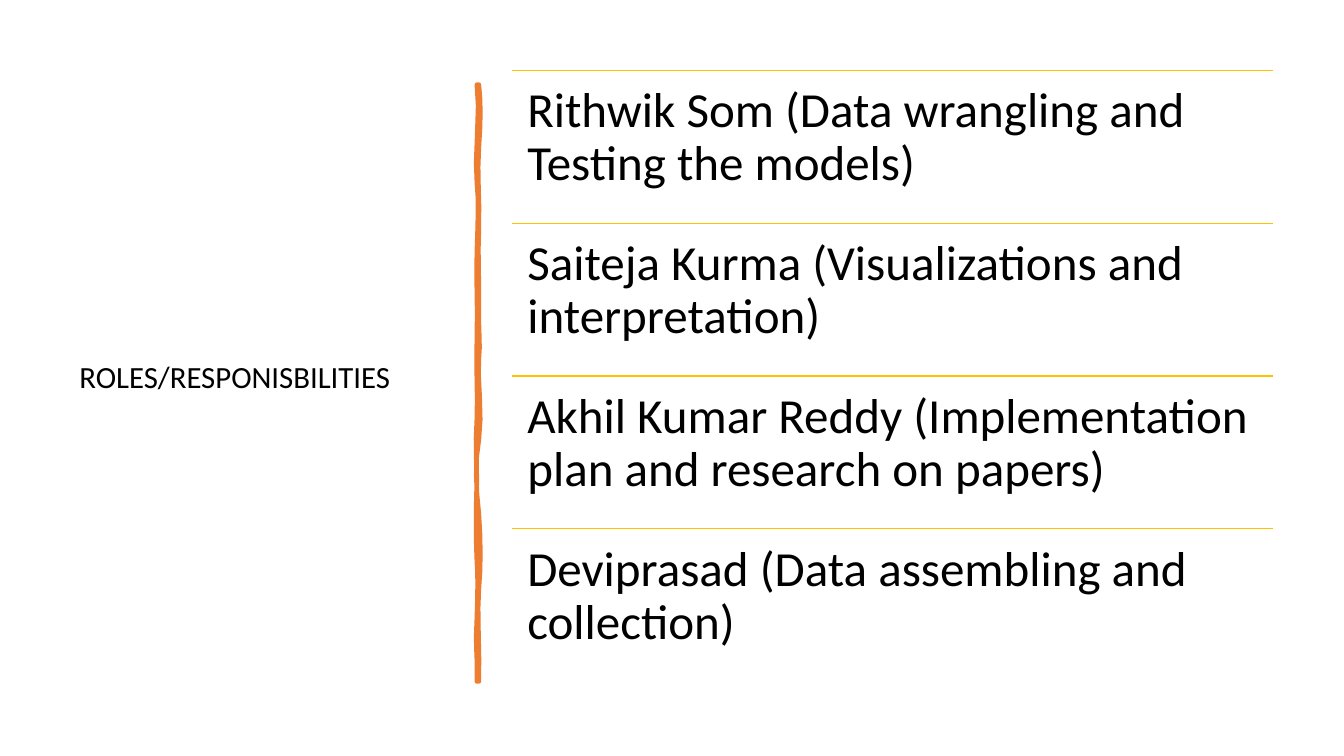
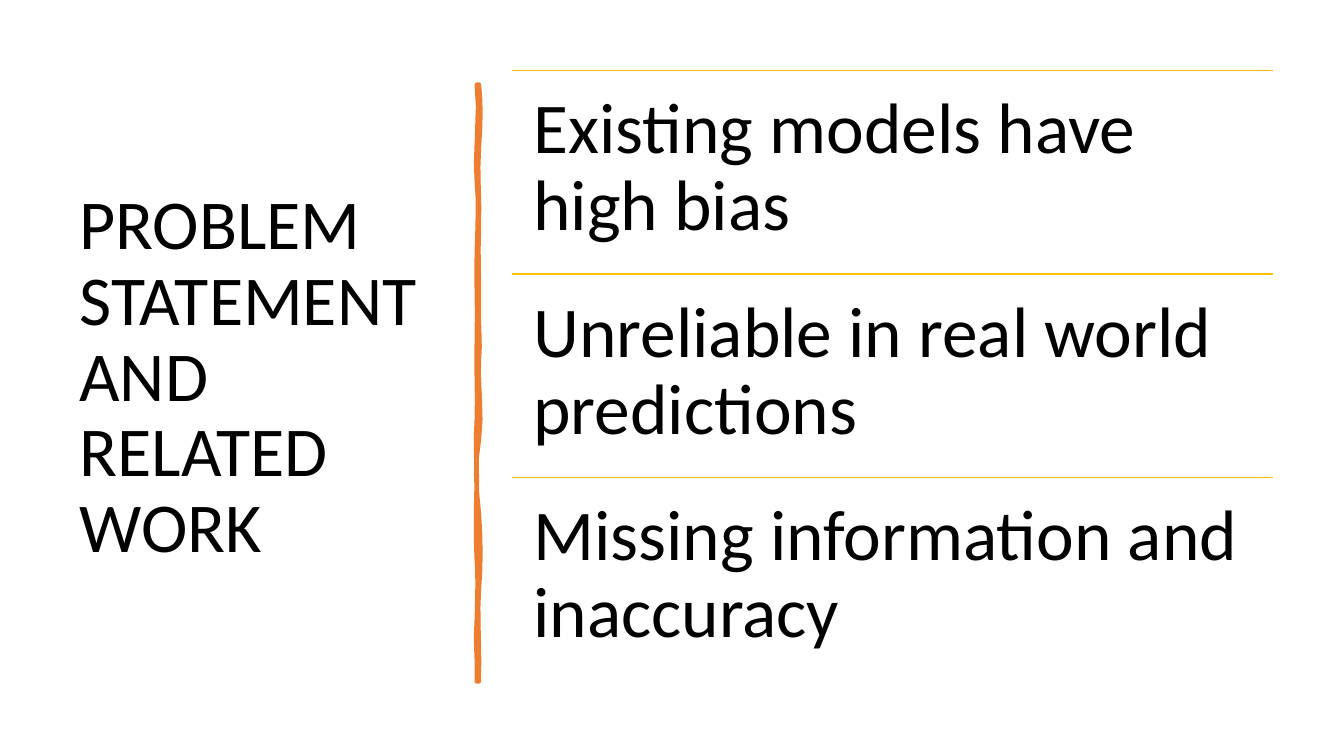
from lxml.etree import SubElement
from pptx import Presentation
from pptx.dml.color import RGBColor
from pptx.enum.shapes import MSO_CONNECTOR
from pptx.enum.text import MSO_ANCHOR
from pptx.oxml.ns import qn
from pptx.util import Inches, Pt

COLORS = {"text": "000000", "stroke": "ED7D31", "rule": "FFC000"}
FONT = "Calibri"
LIST_LEFT, LIST_TOP, LIST_WIDTH, LIST_HEIGHT = 5.08, 0.7, 7.55, 6.06
STROKE_START = (4.75, 0.84)
STROKE_CURVES = [
    ((4.77, 1.02), (4.77, 1.19), (4.75, 1.46)),
    ((4.73, 1.73), (4.76, 1.95), (4.75, 2.26)),
    ((4.74, 2.57), (4.75, 2.62), (4.75, 2.94)),
    ((4.74, 3.25), (4.77, 3.42), (4.75, 3.56)),
    ((4.73, 3.7), (4.79, 4.14), (4.75, 4.36)),
    ((4.71, 4.57), (4.72, 4.84), (4.75, 5.1)),
    ((4.77, 5.36), (4.77, 5.64), (4.75, 5.84)),
    ((4.73, 6.03), (4.76, 6.5), (4.75, 6.76)),
    ((4.74, 6.76), (4.73, 6.76), (4.73, 6.76)),
    ((4.74, 6.46), (4.71, 6.44), (4.73, 6.13)),
    ((4.74, 5.83), (4.74, 5.7), (4.73, 5.57)),
    ((4.72, 5.44), (4.72, 4.95), (4.73, 4.77)),
    ((4.73, 4.59), (4.71, 4.45), (4.73, 4.15)),
    ((4.74, 3.86), (4.72, 3.73), (4.73, 3.35)),
    ((4.74, 2.98), (4.72, 2.81), (4.73, 2.5)),
    ((4.74, 2.18), (4.75, 2), (4.73, 1.81)),
    ((4.7, 1.63), (4.77, 1.04), (4.73, 0.84)),
]
SLIDES = [
    {
        "title": "ROLES/RESPONISBILITIES", "title_size": 22,
        "item_size": 35, "inset": 0.15,
        "items": [
            "Rithwik Som (Data wrangling and Testing the models)",
            "Saiteja Kurma (Visualizations and interpretation)",
            "Akhil Kumar Reddy (Implementation plan and research on papers)",
            "Deviprasad (Data assembling and collection)",
        ],
    },
    {
        "title": "PROBLEM STATEMENT AND RELATED WORK", "title_size": 50,
        "item_size": 51, "inset": 0.21,
        "items": [
            "Existing models have high bias",
            "Unreliable in real world predictions",
            "Missing information and inaccuracy",
        ],
    },
]


def color(name):
    """Return the named colour."""
    return RGBColor.from_string(COLORS[name])


def add_text(page, text, left, top, width, height, *, size,
             inset_x=0.1, inset_y=0.05, anchor=MSO_ANCHOR.TOP):
    """Add a wrapped text box with one formatted paragraph."""
    box = page.shapes.add_textbox(
        Inches(left), Inches(top), Inches(width), Inches(height))
    frame = box.text_frame
    frame.word_wrap = True
    frame.vertical_anchor = anchor
    frame.margin_left = frame.margin_right = Inches(inset_x)
    frame.margin_top = frame.margin_bottom = Inches(inset_y)
    para = frame.paragraphs[0]
    para.line_spacing = 0.9
    span = para.add_run()
    span.text = text
    span.font.name = FONT
    span.font.size = Pt(size)
    span.font.color.rgb = color("text")


def add_rule(page, left, top, width):
    """Add a thin horizontal rule."""
    rule = page.shapes.add_connector(
        MSO_CONNECTOR.STRAIGHT, Inches(left), Inches(top),
        Inches(left + width), Inches(top))
    rule.line.color.rgb = color("rule")
    rule.line.width = Pt(1)
    SubElement(rule._element.spPr, qn("a:effectLst"))


def curve_points(start, curves, steps=4):
    """Return points along a chain of cubic curves."""
    points = []
    for first, second, end in curves:
        for step in range(1, steps + 1):
            t = step / steps
            weights = ((1 - t) ** 3, 3 * t * (1 - t) ** 2,
                       3 * t ** 2 * (1 - t), t ** 3)
            corners = (start, first, second, end)
            points.append(tuple(
                Inches(sum(weight * value for weight, value in zip(weights, axis)))
                for axis in zip(*corners)))
        start = end
    return points


def add_brush_stroke(page):
    """Add the wavy vertical divider."""
    left, top = STROKE_START
    builder = page.shapes.build_freeform(Inches(left), Inches(top))
    builder.add_line_segments(curve_points(STROKE_START, STROKE_CURVES), close=True)
    stroke = builder.convert_to_shape()
    stroke.shadow.inherit = False
    stroke.fill.solid()
    stroke.fill.fore_color.rgb = color("stroke")
    stroke.line.color.rgb = color("stroke")
    stroke.line.width = Pt(3.25)


def add_ruled_list(page, items, size, inset):
    """Add equally tall list rows, each under a rule."""
    row_height = LIST_HEIGHT / len(items)
    for index, item in enumerate(items):
        top = LIST_TOP + index * row_height
        add_rule(page, LIST_LEFT, top, LIST_WIDTH)
        add_text(page, item, LIST_LEFT, top, LIST_WIDTH, row_height,
                 size=size, inset_x=inset, inset_y=inset)


def main():
    """Build and save the deck."""
    deck = Presentation()
    deck.slide_width, deck.slide_height = Inches(13.33), Inches(7.5)
    for content in SLIDES:
        page = deck.slides.add_slide(deck.slide_layouts[6])
        add_text(page, content["title"], 0.69, 0.7, 3.74, 6.11,
                 size=content["title_size"], anchor=MSO_ANCHOR.MIDDLE)
        add_brush_stroke(page)
        add_ruled_list(page, content["items"], content["item_size"], content["inset"])
    deck.save("out.pptx")


main()
